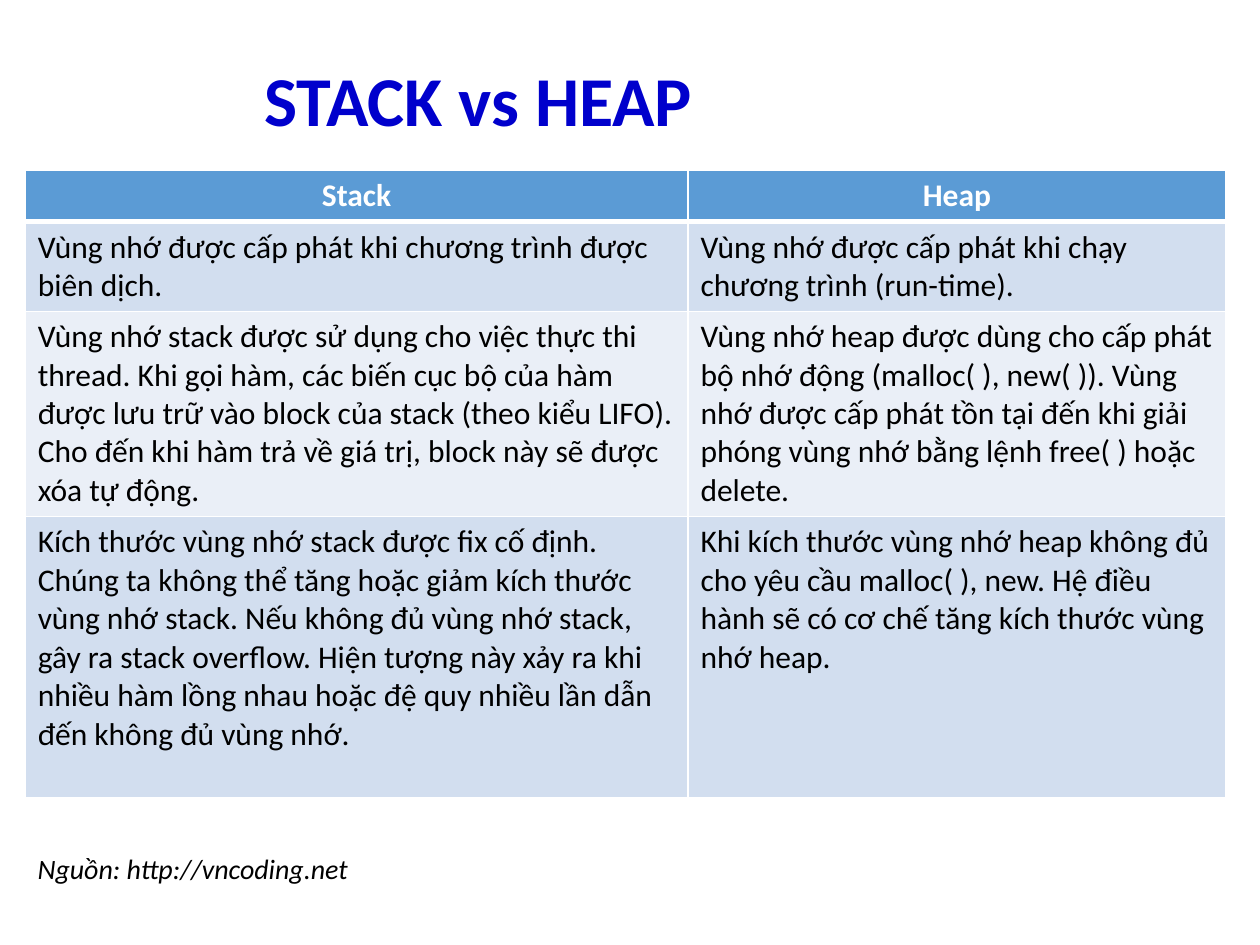
from pptx import Presentation
from pptx.dml.color import RGBColor
from pptx.enum.text import MSO_ANCHOR, PP_ALIGN
from pptx.oxml import parse_xml
from pptx.oxml.ns import nsdecls
from pptx.util import Inches, Pt

TITLE = "STACK vs HEAP"
SOURCE = "Nguồn: http://vncoding.net"
ROWS = [
    ("Stack", "Heap"),
    ("Vùng nhớ được cấp phát khi chương trình được biên dịch.",
     "Vùng nhớ được cấp phát khi chạy chương trình (run-time)."),
    ("Vùng nhớ stack được sử dụng cho việc thực thi thread. Khi gọi hàm, các biến "
     "cục bộ của hàm được lưu trữ vào block của stack (theo kiểu LIFO). Cho đến khi "
     "hàm trả về giá trị, block này sẽ được xóa tự động.",
     "Vùng nhớ heap được dùng cho cấp phát bộ nhớ động (malloc( ), new( )). Vùng nhớ "
     "được cấp phát tồn tại đến khi giải phóng vùng nhớ bằng lệnh free( ) hoặc delete."),
    ("Kích thước vùng nhớ stack được fix cố định. Chúng ta không thể tăng hoặc giảm "
     "kích thước vùng nhớ stack. Nếu không đủ vùng nhớ stack, gây ra stack overflow. "
     "Hiện tượng này xảy ra khi nhiều hàm lồng nhau hoặc đệ quy nhiều lần dẫn đến "
     "không đủ vùng nhớ.",
     "Khi kích thước vùng nhớ heap không đủ cho yêu cầu malloc( ), new. Hệ điều hành "
     "sẽ có cơ chế tăng kích thước vùng nhớ heap."),
]
WIDTHS = (5.26, 4.27)
HEIGHTS = (0.41, 0.71, 1.63, 2.23)
HEAD, BANDS = "5B9BD5", ("EAEFF7", "D2DEEF")


def write(para, text, size, color, bold=False, italic=False):
    """Add one styled run to a paragraph."""
    run = para.add_run()
    run.text = text
    font = run.font
    font.name, font.size = "Calibri", Pt(size)
    font.bold, font.italic = bold, italic
    font.color.rgb = RGBColor.from_string(color)


def edge(cell, side, width):
    """Draw a white border on one side of a cell."""
    cell._tc.get_or_add_tcPr().append(parse_xml(
        f'<a:ln{side} {nsdecls("a")} w="{Pt(width)}"><a:solidFill>'
        f'<a:srgbClr val="FFFFFF"/></a:solidFill></a:ln{side}>'))


def style(cell, text, row):
    """Fill a table cell with its text, borders and band colour."""
    head = row == 0
    for side in "LRTB":
        thick = (head and side == "B") or (row == 1 and side == "T")
        edge(cell, side, 3 if thick else 1)
    cell.fill.solid()
    cell.fill.fore_color.rgb = RGBColor.from_string(HEAD if head else BANDS[row % 2])
    para = cell.text_frame.paragraphs[0]
    para.alignment = PP_ALIGN.CENTER if head else PP_ALIGN.LEFT
    write(para, text, 18, "FFFFFF" if head else "000000", bold=head)


def main():
    """Build the slide and save it."""
    deck = Presentation()
    deck.slide_width, deck.slide_height = Inches(10), Inches(7.5)
    slide = deck.slides.add_slide(deck.slide_layouts[5])

    title = slide.shapes.title
    title.left, title.top = Inches(2), Inches(0.4)
    title.width, title.height = Inches(7.31), Inches(0.85)
    title.text_frame.vertical_anchor = MSO_ANCHOR.MIDDLE
    para = title.text_frame.paragraphs[0]
    para.alignment, para.line_spacing = PP_ALIGN.LEFT, 0.9
    write(para, TITLE, 40, "0000CC", bold=True)

    table = slide.shapes.add_table(
        len(ROWS), len(WIDTHS), Inches(0.2), Inches(1.35),
        Inches(sum(WIDTHS)), Inches(sum(HEIGHTS))).table
    for col, width in zip(table.columns, WIDTHS):
        col.width = Inches(width)
    for row, (texts, height) in enumerate(zip(ROWS, HEIGHTS)):
        table.rows[row].height = Inches(height)
        for col, text in enumerate(texts):
            style(table.cell(row, col), text, row)

    box = slide.shapes.add_textbox(Inches(0.2), Inches(6.71), Inches(3.92), Inches(0.37))
    box.text_frame.word_wrap = True
    write(box.text_frame.paragraphs[0], SOURCE, 16, "000000", italic=True)

    deck.save("out.pptx")


if __name__ == "__main__":
    main()
